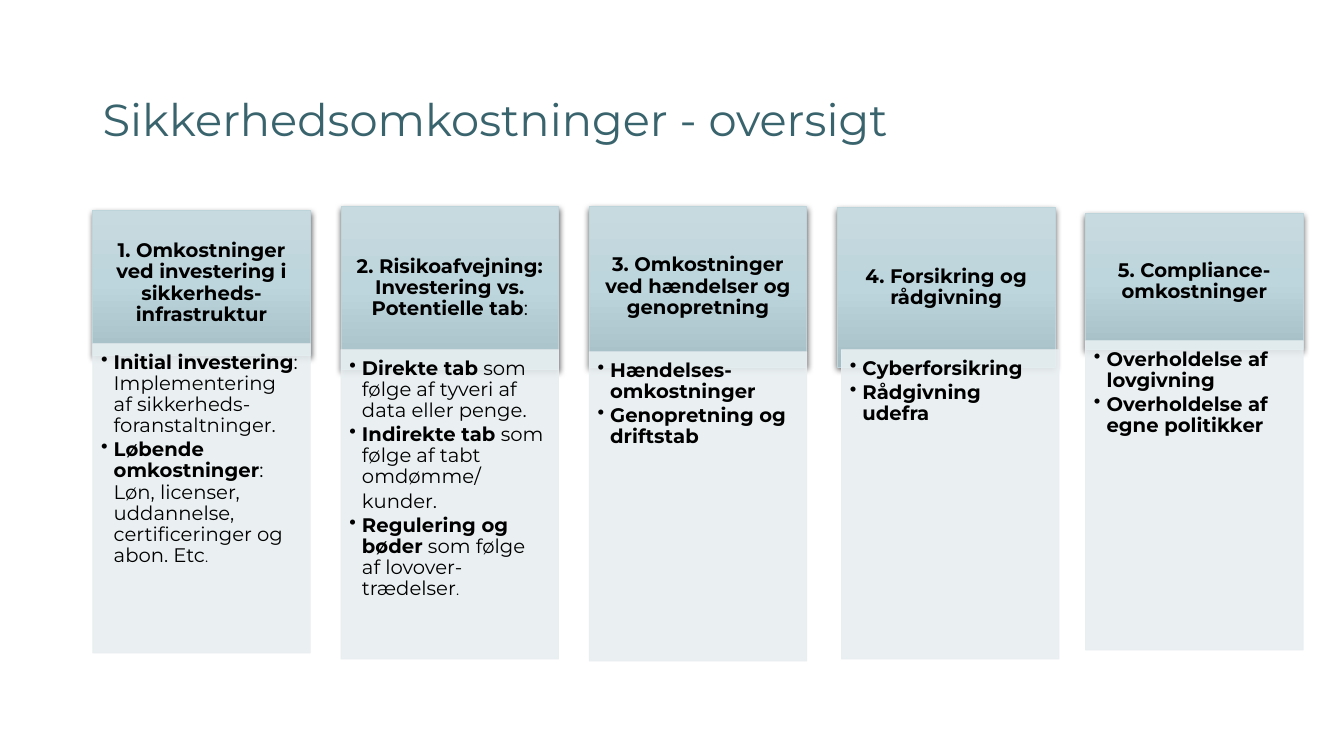
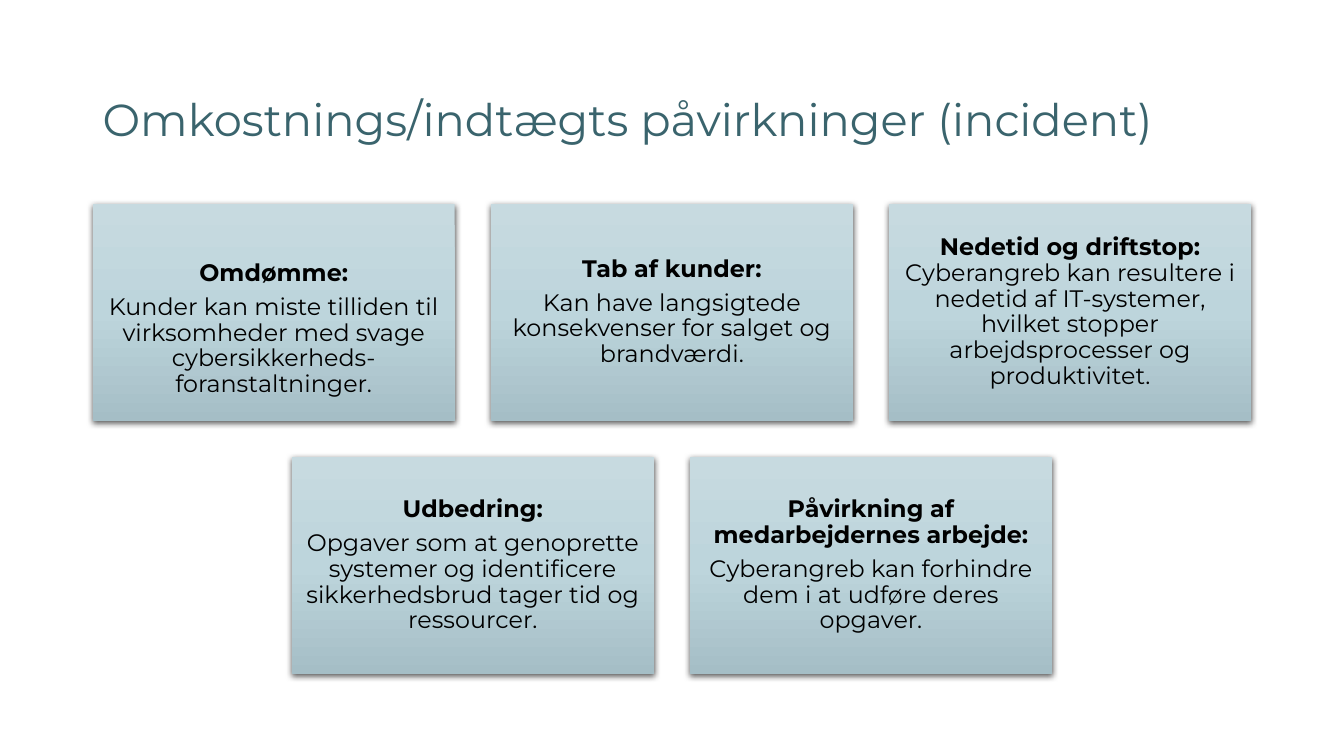
import copy
import dataclasses

import lxml.etree
import pptx
import pptx.dml.color
import pptx.enum.shapes
import pptx.enum.text
import pptx.oxml.ns
import pptx.util

Pt = pptx.util.Pt
qn = pptx.oxml.ns.qn
Align = pptx.enum.text.PP_ALIGN
Anchor = pptx.enum.text.MSO_ANCHOR


@dataclasses.dataclass(frozen=True)
class Theme:
    font: str = "Montserrat"
    title: str = "3A646D"
    ink: str = "000000"
    shade: tuple = ((0, "C7DAE0"), (0.5, "BDD5DC"), (1, "A5BEC6"))
    edge: str = "BED4DB"
    pale: str = "E8EFF1"
    big: float = 32
    card: float = 17
    body: float = 14
    small: float = 10.5
    left: float = 66.24


THEME = Theme()

# Runs are split by "|": bold, then plain, then small.
# Each column: head top, head height, body top, body shift, head, points.
COLUMNS = [
    (150.5, 103.7, 245.5, 0,
     "1. Omkostninger ved investering i sikkerheds-infrastruktur",
     ["Initial investering|: Implementering af sikkerheds-foranstaltninger.",
      "Løbende omkostninger|: Løn, licenser, uddannelse, "
      "certificeringer og abon. Etc|."]),
    (147.6, 116.6, 249.8, 0,
     "2. Risikoafvejning: Investering vs. Potentielle tab|:",
     ["Direkte tab| som følge af tyveri af data eller penge.",
      "Indirekte tab| som følge af tabt omdømme/",
      "|kunder.",
      "Regulering og bøder| som følge af lovover-trædelser|."]),
    (147.6, 114.5, 251.3, 0,
     "3. Omkostninger ved hændelser og genopretning",
     ["Hændelses-omkostninger", "Genopretning og driftstab"]),
    (148.3, 113.8, 249.8, 2.9,
     "4. Forsikring og rådgivning",
     ["Cyberforsikring", "Rådgivning udefra"]),
    (152.6, 97.2, 243.4, 0,
     "5. Compliance-omkostninger",
     ["Overholdelse af lovgivning", "Overholdelse af egne politikker"]),
]

# Each card: top inset, lines.
CARDS = [
    [(29.4, ["Omdømme:",
             "|Kunder kan miste tilliden til virksomheder med svage "
             "cybersikkerheds-foranstaltninger."]),
     (5, ["Tab af kunder:",
          "|Kan have langsigtede konsekvenser for salget og brandværdi."]),
     (5, ["Nedetid og driftstop: |Cyberangreb kan resultere i nedetid af "
          "IT-systemer, hvilket stopper arbejdsprocesser og "
          "produktivitet."])],
    [(5, ["Udbedring:",
          "|Opgaver som at genoprette systemer og identificere "
          "sikkerhedsbrud tager tid og ressourcer."]),
     (5, ["Påvirkning af medarbejdernes arbejde:",
          "|Cyberangreb kan forhindre dem i at udføre deres opgaver."])],
]


def tint(value):
    return pptx.dml.color.RGBColor.from_string(value)


def bullet(para, mark):
    """Hang the paragraph at nine points, with a dot if marked."""
    props = para._p.get_or_add_pPr()
    props.set("marL", str(Pt(9)))
    props.set("indent", str(Pt(-9 if mark else 0)))
    if mark:
        lxml.etree.SubElement(props, qn("a:buChar")).set("char", "•")


def write(shape, lines, size=THEME.body, color=THEME.ink, align=Align.LEFT,
          anchor=Anchor.MIDDLE, inset=(7.2, 3.6, 7.2, 3.6), after=0,
          dots=False):
    frame = shape.text_frame
    frame.word_wrap = True
    frame.vertical_anchor = anchor
    (frame.margin_left, frame.margin_top,
     frame.margin_right, frame.margin_bottom) = map(Pt, inset)
    for i, line in enumerate(lines):
        para = frame.add_paragraph() if i else frame.paragraphs[0]
        if dots:
            bullet(para, not line.startswith("|"))
        para.alignment = align
        para.line_spacing = 0.9
        para.space_after = Pt(after if i < len(lines) - 1 else 0)
        for rank, part in enumerate(line.split("|")):
            if not part:
                continue
            run = para.add_run()
            run.text = part
            run.font.name = THEME.font
            run.font.size = Pt(THEME.small if rank == 2 else size)
            run.font.bold = rank == 0 and size != THEME.big
            run.font.color.rgb = tint(color)


def block(slide, box):
    kind = pptx.enum.shapes.MSO_SHAPE.RECTANGLE
    shape = slide.shapes.add_shape(kind, *map(Pt, box))
    shape.shadow.inherit = False
    return shape


def outline(shape, color):
    shape.line.color.rgb = tint(color)
    shape.line.width = Pt(0.5)


def raised(slide, box):
    """Add a shaded rectangle with a soft shadow and no outline."""
    shape = block(slide, box)
    shape.line.fill.background()
    shape.fill.gradient()
    shape.fill.gradient_angle = 270
    stops = shape.element.spPr.find(".//" + qn("a:gsLst"))
    stops.append(copy.deepcopy(stops[0]))
    for stop, (place, color) in zip(shape.fill.gradient_stops, THEME.shade):
        stop.position = place
        stop.color.rgb = tint(color)
    effects = shape.element.spPr.find(qn("a:effectLst"))
    shadow = lxml.etree.SubElement(
        effects, qn("a:outerShdw"), blurRad=str(Pt(4.5)),
        dist=str(Pt(1.5)), dir="5400000", algn="ctr", rotWithShape="0")
    black = lxml.etree.SubElement(shadow, qn("a:srgbClr"), val="000000")
    lxml.etree.SubElement(black, qn("a:alpha"), val="63000")
    return shape


def panel(slide, box):
    """Add a pale rectangle that is slightly see-through."""
    shape = block(slide, box)
    shape.fill.solid()
    shape.fill.fore_color.rgb = tint(THEME.pale)
    outline(shape, THEME.pale)
    for color in shape.element.spPr.iter(qn("a:srgbClr")):
        lxml.etree.SubElement(color, qn("a:alpha"), val="90000")
    return shape


def start(deck, title):
    """Add a blank slide with its title."""
    slide = deck.slides.add_slide(deck.slide_layouts[6])
    box = slide.shapes.add_textbox(*map(Pt, (THEME.left, 50.4, 828, 72.7)))
    write(box, [title], size=THEME.big, color=THEME.title)
    return slide


def column(slide, left, width, data):
    top, height, low, shift, head, points = data
    cap = raised(slide, (left, top, width, height))
    outline(cap, THEME.edge)
    write(cap, [head], align=Align.CENTER, inset=(8, 4.5, 8, 4.5))
    base = panel(slide, (left + shift, low, width, 221))
    write(base, points, anchor=Anchor.TOP, inset=(6, 6, 8, 9), after=2.1,
          dots=True)


def columns(deck):
    slide = start(deck, "Sikkerhedsomkostninger - oversigt")
    for i, data in enumerate(COLUMNS):
        column(slide, THEME.left + i * 177.3, 155.5, data)


def cards(deck):
    slide = start(deck, "Omkostnings/indtægts påvirkninger (incident)")
    width, height, gap = 258.6, 155.2, 25.8
    step = width + gap
    for r, row in enumerate(CARDS):
        left = THEME.left + (len(CARDS[0]) - len(row)) * step / 2
        top = 145.4 + r * (height + gap)
        for i, (inset, lines) in enumerate(row):
            card = raised(slide, (left + i * step, top, width, height))
            write(card, lines, size=THEME.card, align=Align.CENTER,
                  inset=(5, inset, 5, 5), after=6)


def main():
    deck = pptx.Presentation()
    deck.slide_width, deck.slide_height = Pt(960), Pt(540)
    columns(deck)
    cards(deck)
    deck.save("out.pptx")


if __name__ == "__main__":
    main()
